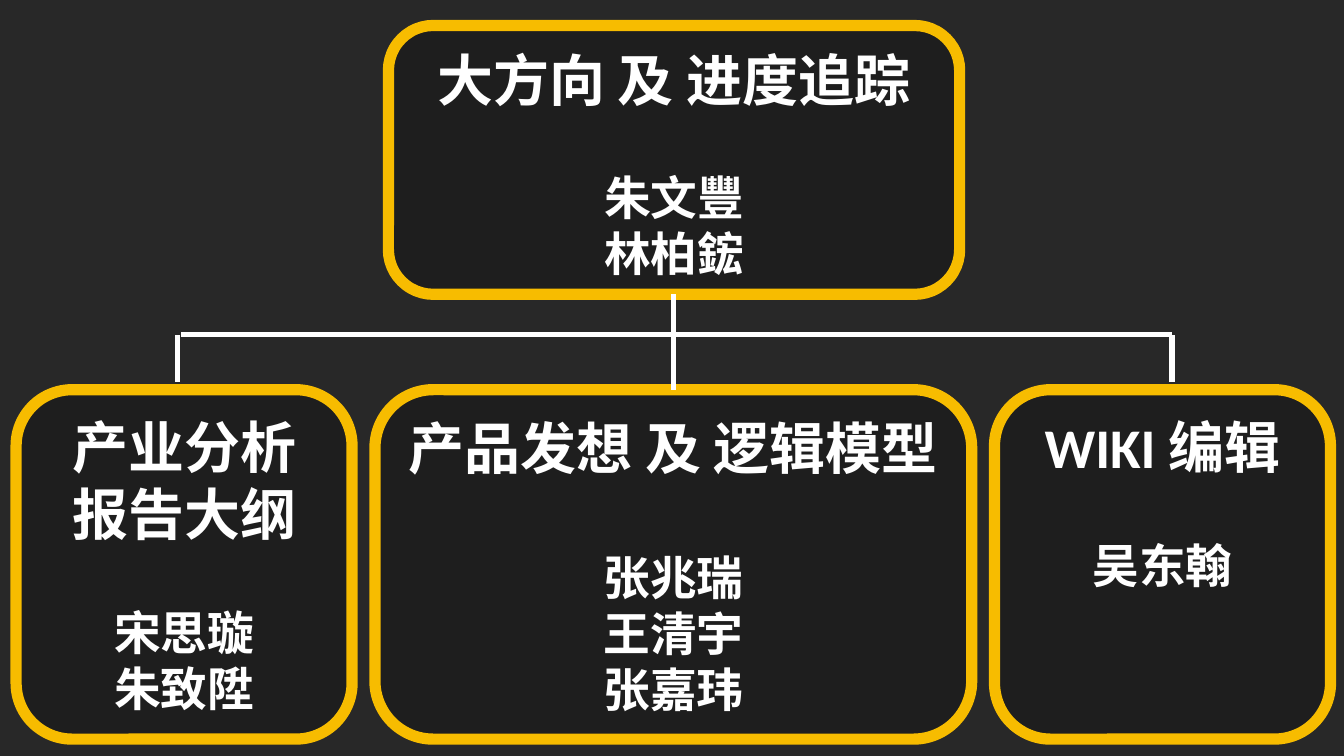
from lxml import etree
from pptx import Presentation
from pptx.dml.color import RGBColor
from pptx.enum import shapes, text
from pptx.oxml import ns
from pptx import util as u

theme = {
    "background": RGBColor.from_string("282828"),
    "panel": RGBColor.from_string("1E1E1E"),
    "border": RGBColor.from_string("F7BC00"),
    "white": RGBColor.from_string("FFFFFF"),
    "font": "Calibri",
    "title": 30,
    "name": 25,
    "border_width": 6,
    "branch_width": 3,
    "line_height": 1.22,
}

presentation = Presentation()
presentation.slide_width = u.Inches(10)
presentation.slide_height = presentation.slide_width * 9 // 16
column = presentation.slide_width / 100
row = presentation.slide_height / 56.25

slide = presentation.slides.add_slide(presentation.slide_layouts[6])
slide.background.fill.solid()
slide.background.fill.fore_color.rgb = theme["background"]


def write_paragraph(paragraph, content, size, space_before=0):
    paragraph.alignment = text.PP_ALIGN.CENTER
    if space_before:
        paragraph.space_before = u.Pt(space_before)
    run = paragraph.add_run()
    run.text = content
    run.font.name = theme["font"]
    run.font.size = u.Pt(size)
    run.font.bold = True
    run.font.color.rgb = theme["white"]


team_top, team_height = 29, 26
teams = [
    ("产品发想 及 逻辑模型", ["张兆瑞", "王清宇", "张嘉玮"], theme["title"],
     (27.9, team_top, 44.4, team_height)),
    ("WIKI 编辑", ["吴东翰"], theme["name"], (74, team_top, 25, team_height)),
    ("产业分析报告大纲", ["宋思璇", "朱致陞"], theme["name"],
     (1.2, team_top, 25, team_height)),
    ("大方向 及 进度追踪", ["朱文豐", "林柏鋐"], theme["name"], (28.9, 1.9, 42.5, 20)),
]

for title, members, gap_size, (left, top, width, height) in teams:
    shape = slide.shapes.add_shape(
        shapes.MSO_SHAPE.ROUNDED_RECTANGLE,
        round(left * column), round(top * row),
        round(width * column), round(height * row),
    )
    shape.shadow.inherit = False
    shape.fill.solid()
    shape.fill.fore_color.rgb = theme["panel"]
    shape.line.color.rgb = theme["border"]
    shape.line.width = u.Pt(theme["border_width"])
    frame = shape.text_frame
    frame.word_wrap = True
    frame.vertical_anchor = text.MSO_ANCHOR.TOP
    write_paragraph(frame.paragraphs[0], title, theme["title"])
    for index, member in enumerate(members):
        gap = 0 if index else round(gap_size * theme["line_height"], 1)
        write_paragraph(frame.add_paragraph(), member, theme["name"], space_before=gap)

bar, drop, trunk = 24.9, 28.4, 50.1
left_branch, right_branch = 13.2, 87.2
branches = [
    (right_branch, bar, 13.5, bar),
    (trunk, 21.9, trunk, team_top),
    (right_branch, drop, right_branch, bar),
    (left_branch, drop, left_branch, bar),
]

for start_x, start_y, end_x, end_y in branches:
    connector = slide.shapes.add_connector(
        shapes.MSO_CONNECTOR.STRAIGHT,
        round(start_x * column), round(start_y * row),
        round(end_x * column), round(end_y * row),
    )
    connector.line.color.rgb = theme["white"]
    connector.line.width = u.Pt(theme["branch_width"])
    etree.SubElement(connector._element.spPr, ns.qn("a:effectLst"))

presentation.save("out.pptx")
